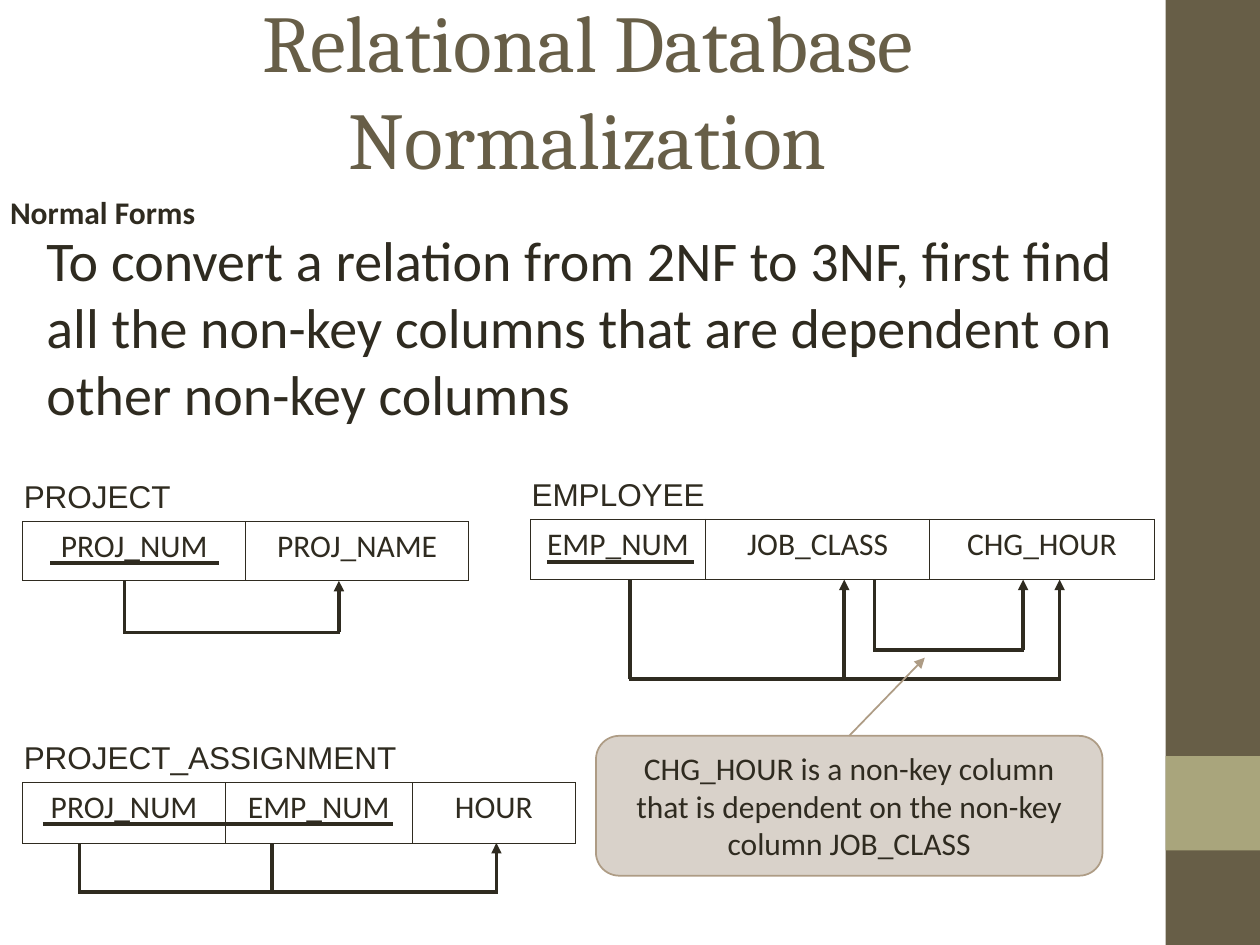
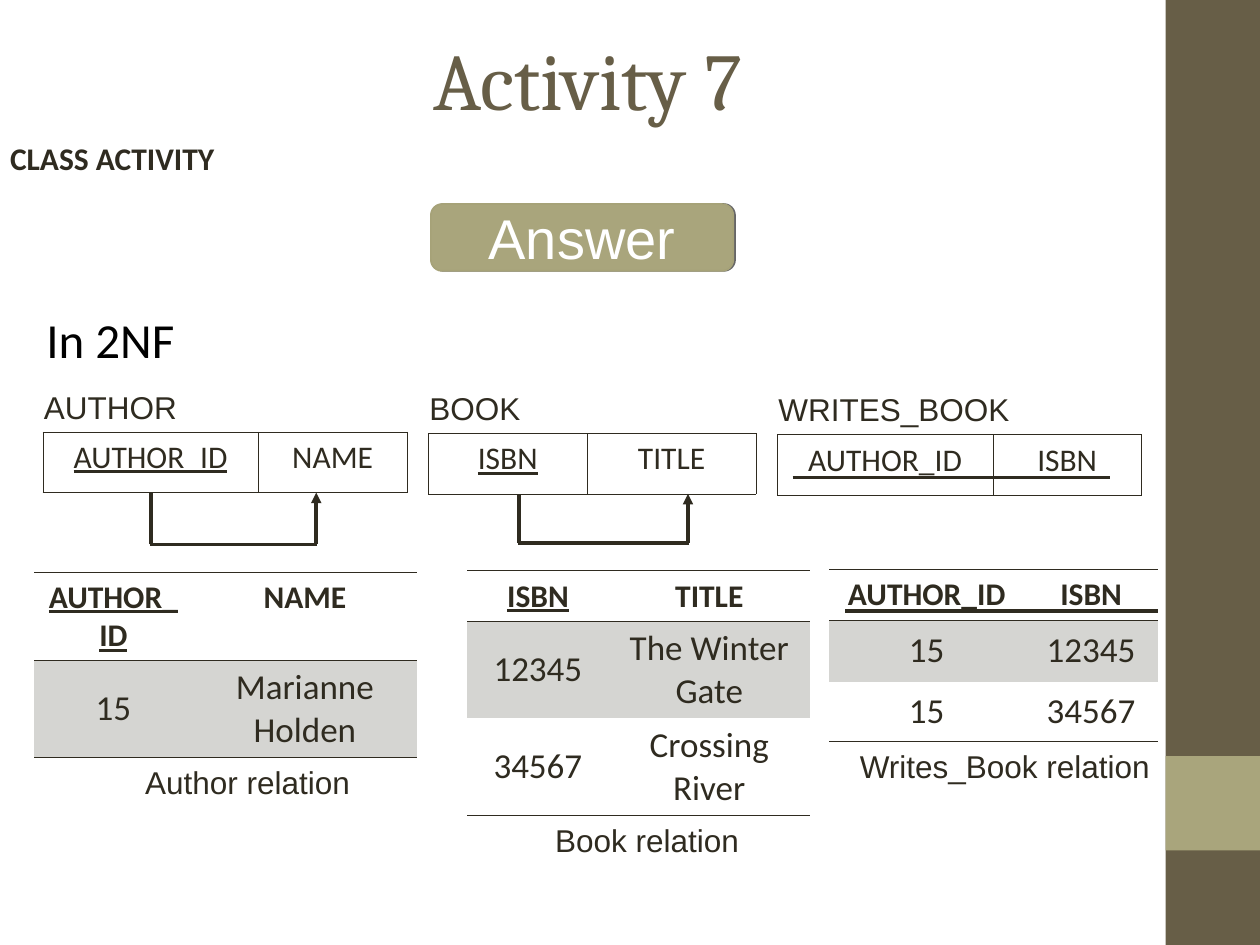
from lxml.etree import SubElement
from pptx import Presentation
from pptx.dml.color import RGBColor
from pptx.enum.shapes import MSO_CONNECTOR as Connector, MSO_SHAPE as Shape
from pptx.enum.text import MSO_ANCHOR as Anchor, PP_ALIGN as Align
from pptx.oxml.ns import qn
from pptx.util import Inches, Pt

COLORS = {
    "ink": "2F2B20", "title": "675E47", "accent": "A9A57C", "accent_line": "A6A278",
    "callout": "D9D2CA", "callout_line": "AE9C85", "shade": "D5D5D2",
    "white": "FFFFFF", "black": "000000",
}
BANDS = [(0, 7.5, "title"), (6, 0.75, "accent")]
BORDER_WIDTH = 0.45
LABEL_SIZE = (3.19, 0.4)

NORMALIZATION = {
    "title": ("Relational Database Normalization", 0.08),
    "heading": ("Normal Forms", 1.58),
    "body": ("To convert a relation from 2NF to 3NF, first find all the non-key columns "
             "that are dependent on other non-key columns",
             (0.27, 1.74, 8.66, 1.18), 32, "ink", Align.JUSTIFY),
    "schemas": [
        {"name": "PROJECT", "at": (0.18, 4.14), "height": 0.47,
         "columns": [("PROJ_NUM", 1.77), ("PROJ_NAME", 1.77)],
         "key_bar": (0.4, 1.74, 4.47, 2),
         "dependencies": [([0.99], [2.69], 5.02)]},
        {"name": "EMPLOYEE", "at": (4.21, 4.12), "height": 0.48,
         "columns": [("EMP_NUM", 1.39), ("JOB_CLASS", 1.78), ("CHG_HOUR", 1.78)],
         "key_bar": (4.34, 5.51, 4.46, 2),
         "dependencies": [([5], [6.7, 8.41], 5.39), ([6.94], [8.12], 5.16)]},
        {"name": "PROJECT_ASSIGNMENT", "at": (0.18, 6.21), "height": 0.48,
         "columns": [("PROJ_NUM", 1.61), ("EMP_NUM", 1.48), ("HOUR", 1.3)],
         "key_bar": (0.34, 3.12, 6.54, 2),
         "dependencies": [([0.63, 2.16], [3.94], 7.08)]},
    ],
}
CALLOUT = "CHG_HOUR is a non-key column that is dependent on the non-key column JOB_CLASS"
CALLOUT_TARGET = (7.34, 5.22)

ACTIVITY = {
    "title": ("Activity 7", 0),
    "heading": ("CLASS ACTIVITY", 1.15),
    "body": ("In 2NF", (0.27, 2.41, 8.9, 0.6), 28, "black", Align.LEFT),
    "schemas": [
        {"name": "AUTHOR", "at": (0.34, 3.43), "height": 0.48,
         "columns": [("AUTHOR_ID", 1.71), ("NAME", 1.18)], "underlined": "AUTHOR_ID",
         "dependencies": [([1.2], [2.51], 4.32)]},
        {"name": "BOOK", "at": (3.4, 3.44), "height": 0.48,
         "columns": [("ISBN", 1.26), ("TITLE", 1.34)], "underlined": "ISBN",
         "dependencies": [([4.12], [5.46], 4.31)]},
        {"name": "WRITES_BOOK", "at": (6.17, 3.45), "height": 0.48,
         "columns": [("AUTHOR_ID", 1.71), ("ISBN", 1.18)],
         "key_bar": (6.29, 8.81, 3.79, 1.5), "dependencies": []},
    ],
}
RELATIONS = [
    {"at": (0.27, 4.54), "widths": [1.26, 1.78], "heights": [0.7, 0.77],
     "rows": [("AUTHOR_ID", "NAME"), ("15", "Marianne Holden")], "underlined": "AUTHOR_ID",
     "caption": ("Author relation", 0.98, 1.97)},
    {"at": (3.71, 4.53), "widths": [1.12, 1.6], "heights": [0.4, 0.77, 0.77],
     "rows": [("ISBN", "TITLE"), ("12345", "The Winter Gate"), ("34567", "Crossing River")],
     "underlined": "ISBN", "caption": ("Book relation", 4.15, 1.97)},
    {"at": (6.58, 4.52), "widths": [1.55, 1.06], "heights": [0.4, 0.49, 0.47],
     "rows": [("AUTHOR_ID", "ISBN"), ("15", "12345"), ("15", "34567")],
     "key_bar": (6.71, 9.19, 4.85, 2), "caption": ("Writes_Book relation", 6.67, 2.61)},
]


def rgb(name):
    return RGBColor.from_string(COLORS[name])


def write(frame, text, size, font="Calibri", color="ink", align=Align.LEFT,
          bold=False, underline=False):
    frame.text = text
    paragraph = frame.paragraphs[0]
    paragraph.alignment = align
    for span in paragraph.runs:
        span.font.size = Pt(size)
        span.font.name = font
        span.font.bold = bold
        span.font.underline = underline
        span.font.color.rgb = rgb(color)


def add_text(page, text, place, size, **style):
    box = page.shapes.add_textbox(*map(Inches, place))
    box.text_frame.word_wrap = True
    write(box.text_frame, text, size, **style)
    return box


def add_block(page, kind, place, fill, line=None):
    block = page.shapes.add_shape(kind, *map(Inches, place))
    block.shadow.inherit = False
    block.fill.solid()
    block.fill.fore_color.rgb = rgb(fill)
    if line:
        block.line.color.rgb = rgb(line)
        block.line.width = Pt(1)
    else:
        block.line.fill.background()
    block.text_frame.word_wrap = True
    return block


def add_line(page, start, end, width=2, color="ink", arrow=False):
    line = page.shapes.add_connector(Connector.STRAIGHT, *map(Inches, start + end))
    line.line.color.rgb = rgb(color)
    line.line.width = Pt(width)
    SubElement(line._element.spPr, qn("a:effectLst"))
    if arrow:
        SubElement(line.line._get_or_add_ln(), qn("a:tailEnd"), type="triangle")
    return line


def add_key_bar(page, item):
    if "key_bar" in item:
        left, right, y, width = item["key_bar"]
        add_line(page, (left, y), (right, y), width)


def set_borders(cell, sides):
    properties = cell._tc.get_or_add_tcPr()
    for side in "LRTB":
        edge = SubElement(properties, qn(f"a:ln{side}"), w=str(Pt(BORDER_WIDTH)))
        if side in sides:
            fill = SubElement(edge, qn("a:solidFill"))
            SubElement(fill, qn("a:srgbClr"), val=COLORS["ink"])
        else:
            SubElement(edge, qn("a:noFill"))


def add_table(page, at, widths, heights):
    place = (*at, sum(widths), sum(heights))
    table = page.shapes.add_table(len(heights), len(widths), *map(Inches, place)).table
    table.first_row = table.horz_banding = False
    for column, width in zip(table.columns, widths):
        column.width = Inches(width)
    for row, height in zip(table.rows, heights):
        row.height = Inches(height)
    return table


def add_dependency(page, sources, targets, bus, top):
    xs = sources + targets
    for x in xs:
        add_line(page, (x, bus), (x, top), arrow=x in targets)
    add_line(page, (min(xs) - 0.01, bus), (max(xs) + 0.01, bus))


def add_schema(page, schema):
    left, top = schema["at"]
    height = schema["height"]
    add_text(page, schema["name"], (left - 0.09, top - 0.4, *LABEL_SIZE), 18, font="Arial")
    table = add_table(page, schema["at"], [width for _, width in schema["columns"]], [height])
    for cell, (name, _) in zip(table.iter_cells(), schema["columns"]):
        write(cell.text_frame, name, 18, align=Align.CENTER,
              underline=name == schema.get("underlined"))
        set_borders(cell, "LRTB")
        cell.fill.background()
    add_key_bar(page, schema)
    for sources, targets, bus in schema["dependencies"]:
        add_dependency(page, sources, targets, bus, top + height)


def add_relation(page, relation):
    table = add_table(page, relation["at"], relation["widths"], relation["heights"])
    last = len(relation["rows"]) - 1
    for r, row in enumerate(relation["rows"]):
        sides = ("T" if r < 2 else "") + ("B" if r in (0, last) else "")
        for c, value in enumerate(row):
            cell = table.cell(r, c)
            write(cell.text_frame, value, 20 if r else 18, align=Align.CENTER, bold=r == 0,
                  underline=value == relation.get("underlined"))
            set_borders(cell, sides)
            if r:
                cell.vertical_anchor = Anchor.MIDDLE
            if r % 2:
                cell.fill.solid()
                cell.fill.fore_color.rgb = rgb("shade")
            else:
                cell.fill.background()
    add_key_bar(page, relation)
    caption, left, width = relation["caption"]
    bottom = relation["at"][1] + sum(relation["heights"])
    add_text(page, caption, (left, bottom, width, 0.4), 18, font="Arial", align=Align.CENTER)


def add_page(deck, content):
    page = deck.slides.add_slide(deck.slide_layouts[6])
    for top, height, color in BANDS:
        add_block(page, Shape.RECTANGLE, (9.25, top, 0.75, height), color)
    title, top = content["title"]
    box = add_text(page, title, (0.5, top, 8.33, 1.25), 46, font="Cambria", color="title",
                   align=Align.CENTER)
    box.text_frame.vertical_anchor = Anchor.MIDDLE
    heading, top = content["heading"]
    frame = add_text(page, heading, (0, top, 8.94, 0.35), 18, bold=True).text_frame
    frame.margin_left = frame.margin_right = Inches(0.08)
    frame.margin_top = frame.margin_bottom = 0
    frame.paragraphs[0].line_spacing = Pt(18)
    text, place, size, color, align = content["body"]
    add_text(page, text, place, size, color=color, align=align)
    for schema in content["schemas"]:
        add_schema(page, schema)
    return page


def add_callout(page):
    callout = add_block(page, Shape.ROUNDED_RECTANGLE, (4.73, 5.84, 4.02, 1.11),
                        "callout", "callout_line")
    callout.text_frame.vertical_anchor = Anchor.TOP
    write(callout.text_frame, CALLOUT, 18, align=Align.CENTER)
    pointer = add_line(page, (6.74, 5.84), CALLOUT_TARGET, 1, "callout_line", arrow=True)
    pointer.begin_connect(callout, 0)


def add_answer(page):
    answer = add_block(page, Shape.ROUNDED_RECTANGLE, (3.42, 1.62, 2.4, 0.53),
                       "accent", "accent_line")
    answer.text_frame.vertical_anchor = Anchor.MIDDLE
    write(answer.text_frame, "Answer", 32, font="Arial", color="white", align=Align.CENTER)
    effects = answer._element.spPr.find(qn("a:effectLst"))
    shadow = SubElement(effects, qn("a:outerShdw"), dist=str(Pt(1)), dir="0")
    tint = SubElement(shadow, qn("a:srgbClr"), val=COLORS["black"])
    SubElement(tint, qn("a:alpha"), val="60000")


def main():
    deck = Presentation()
    deck.slide_width, deck.slide_height = Inches(10), Inches(7.5)
    add_callout(add_page(deck, NORMALIZATION))
    activity = add_page(deck, ACTIVITY)
    add_answer(activity)
    for relation in RELATIONS:
        add_relation(activity, relation)
    deck.save("out.pptx")


if __name__ == "__main__":
    main()
